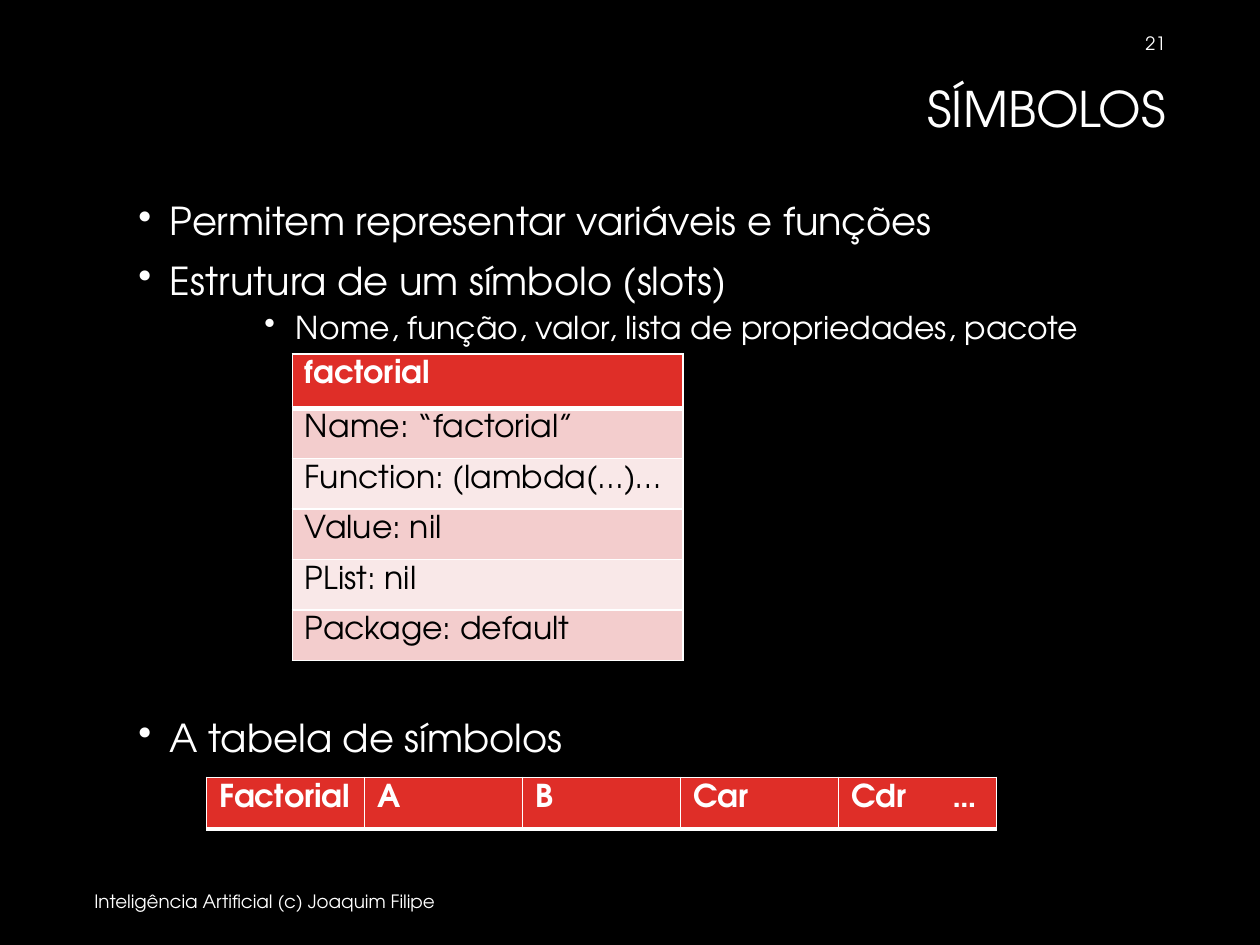
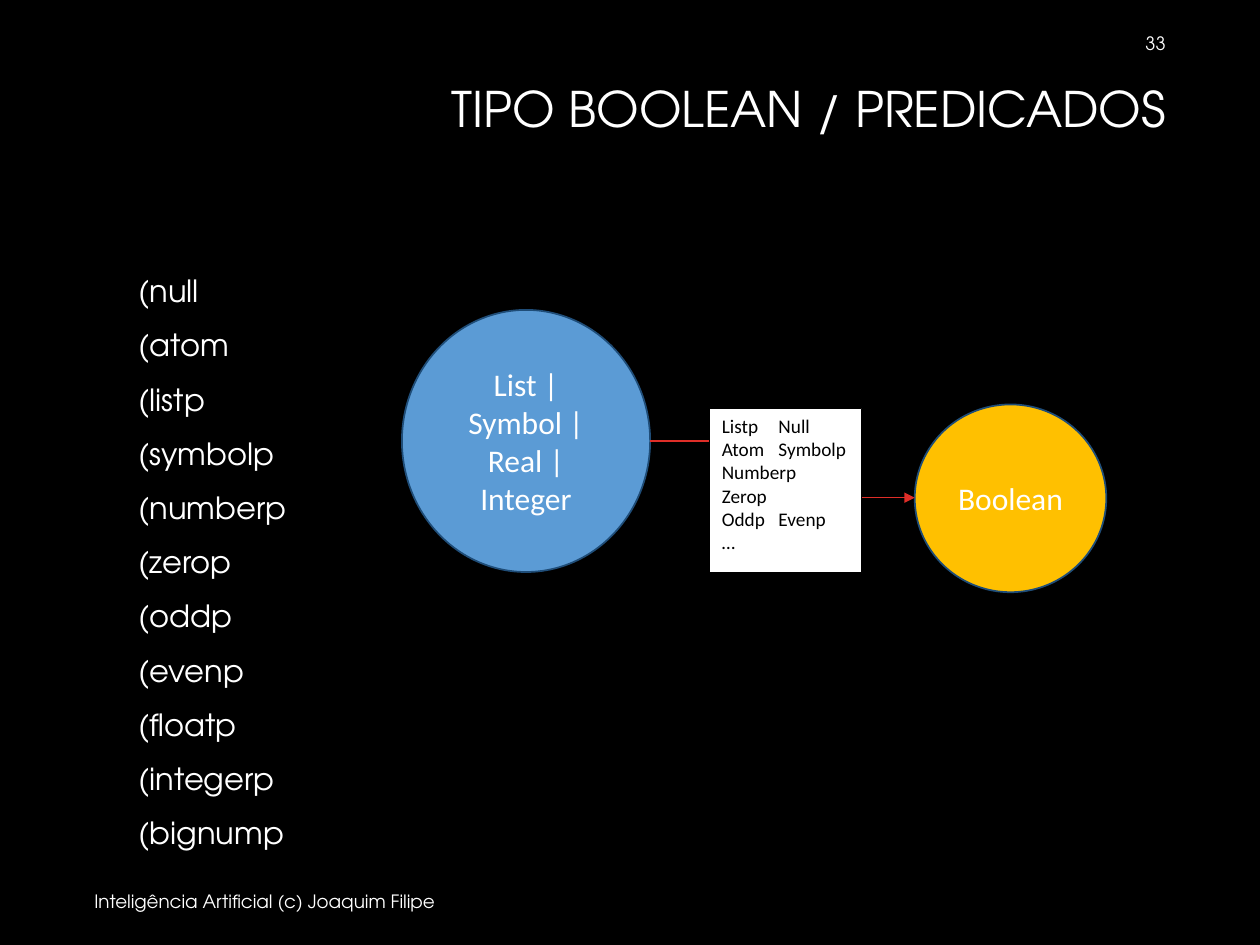
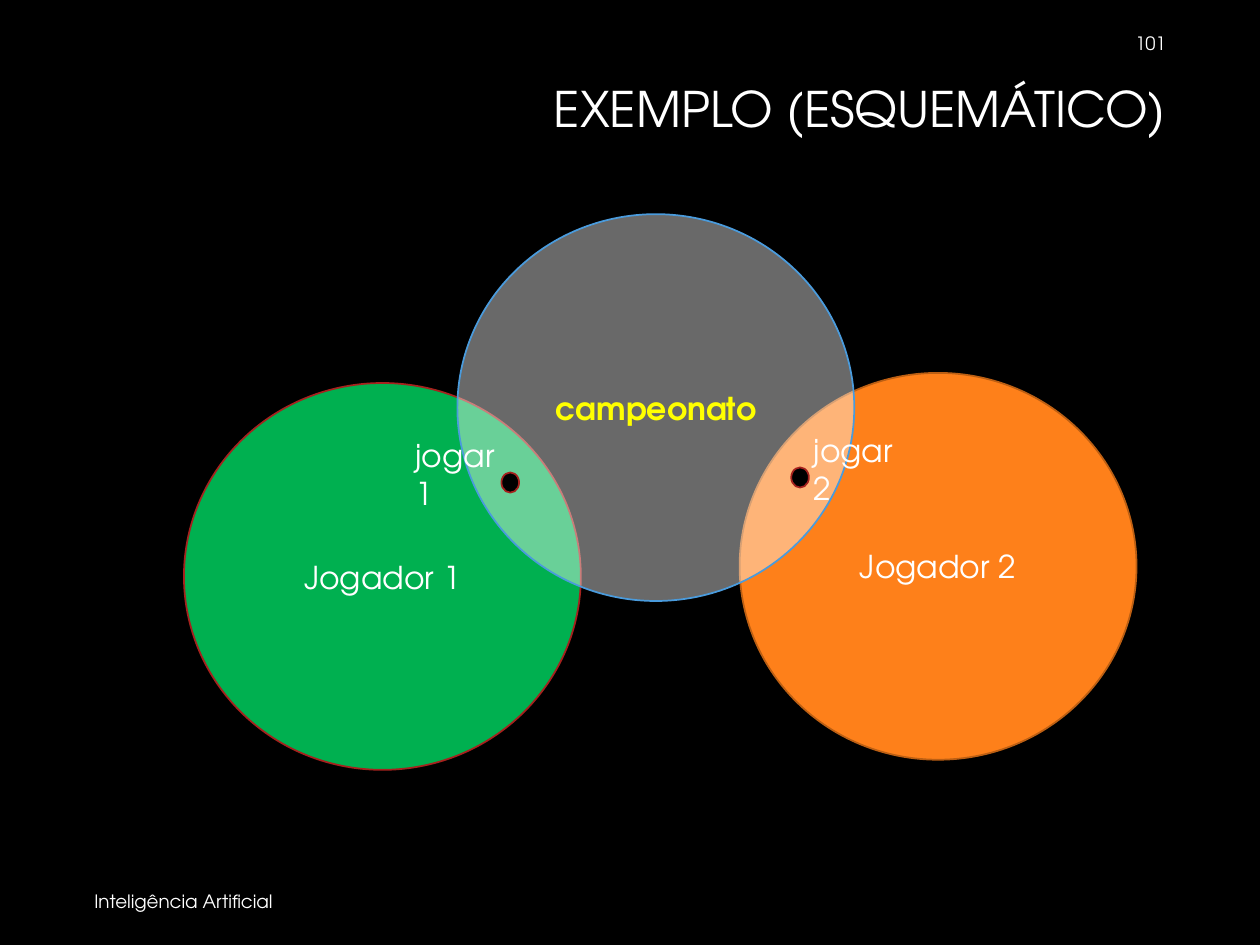
from pptx import Presentation
from pptx.dml.color import RGBColor
from pptx.enum.shapes import MSO_CONNECTOR, MSO_SHAPE
from pptx.enum.text import MSO_ANCHOR, PP_ALIGN
from pptx.oxml.ns import qn
from pptx.util import Inches, Pt
from lxml.etree import SubElement

# Shared look
SANS, PLAIN = "TeX Gyre Adventor", "Calibri"
BLACK, WHITE, RED, WINE = "000000", "FFFFFF", "DF2E28", "A5221E"
BLUE, NAVY, GOLD = "5B9BD5", "1F4D78", "FFC000"
PINK, PALE = "F3CDCD", "F9E8E8"
CREDIT = "Inteligência Artificial (c) Joaquim Filipe"
MIDDLE, TOP = MSO_ANCHOR.MIDDLE, MSO_ANCHOR.TOP
RIGHT, CENTER = PP_ALIGN.RIGHT, PP_ALIGN.CENTER
TITLE = (1.85, 0.63, 7.5, 1)
FOOTER = (0.65, 6.95, 6.21, 0.4)
NUMBER = (7.19, 0.14, 2.16, 0.4)


def style(part, values):
    for name, value in values.items():
        setattr(part, name, value)


def tint(color, value):
    color.rgb = RGBColor.from_string(value)


def paint(fill, value):
    fill.solid()
    tint(fill.fore_color, value)


def inch(*values):
    return [Inches(v) for v in values]


def write(frame, lines, size=18, color=WHITE, font=SANS, bold=False,
          anchor=TOP, tab=None, **layout):
    """Fill a frame with one paragraph per line."""
    style(frame, {"word_wrap": True, "vertical_anchor": anchor})
    for i, line in enumerate(lines):
        para = frame.add_paragraph() if i else frame.paragraphs[0]
        style(para, layout)
        run = para.add_run()
        run.text = line
        style(run.font, {"size": Pt(size), "name": font, "bold": bold})
        tint(run.font.color, color)
        if tab and "\t" in line:
            tabs = SubElement(para._p.get_or_add_pPr(), qn("a:tabLst"))
            SubElement(tabs, qn("a:tab"), pos=str(Inches(tab)), algn="l")


def label(slide, box, lines, **look):
    frame = slide.shapes.add_textbox(*inch(*box)).text_frame
    write(frame, lines, **look)
    return frame


def bullet(para, left):
    props = para._p.get_or_add_pPr()
    props.set("marL", str(Inches(left)))
    props.set("indent", str(Inches(-0.25)))
    SubElement(props, qn("a:buChar"), char="•")


def solid(slide, kind, box, fill, edge, width=1, lines=(), **look):
    """Draw a filled shape with an outline and optional text."""
    shape = slide.shapes.add_shape(kind, *inch(*box))
    shape.shadow.inherit = False
    paint(shape.fill, fill)
    tint(shape.line.color, edge)
    shape.line.width = Pt(width)
    write(shape.text_frame, lines, **look)
    return shape


def disc(slide, box, fill, edge, *lines, **look):
    return solid(slide, MSO_SHAPE.OVAL, box, fill, edge, lines=lines,
                 anchor=MIDDLE, alignment=CENTER, **look)


def border(cell, top=1, bottom=1):
    props = cell._tc.get_or_add_tcPr()
    for side, width in zip("LRTB", (1, 1, top, bottom)):
        line = SubElement(props, qn(f"a:ln{side}"), w=str(Pt(width)))
        fill = SubElement(line, qn("a:solidFill"))
        SubElement(fill, qn("a:srgbClr"), val=WHITE)


def grid(slide, box, rows, first, tab=None):
    """Draw a table with a red head row and banded body rows."""
    x, y, w, h = box
    cols = len(rows[0])
    table = slide.shapes.add_table(len(rows), cols, *inch(x, y, w, h)).table
    style(table, {"first_row": False, "horz_banding": False})
    for col in table.columns:
        col.width = Inches(w / cols)
    for r, texts in enumerate(rows):
        head = r == 0
        table.rows[r].height = Inches(
            first if head else (h - first) / (len(rows) - 1))
        for c, text in enumerate(texts):
            cell = table.cell(r, c)
            border(cell, top=3 if r == 1 else 1, bottom=3 if head else 1)
            paint(cell.fill, RED if head else PINK if r % 2 else PALE)
            write(cell.text_frame, [text], bold=head, tab=tab,
                  color=WHITE if head else BLACK)


def page(deck, title, number, credit=CREDIT):
    """Add a black slide with title, footer and number."""
    slide = deck.slides.add_slide(deck.slide_layouts[6])
    paint(slide.background.fill, BLACK)
    label(slide, TITLE, [title], size=28, alignment=RIGHT, line_spacing=0.9)
    label(slide, FOOTER, [credit], size=10.5, anchor=MIDDLE)
    label(slide, NUMBER, [number], size=10.5, anchor=MIDDLE, alignment=RIGHT)
    return slide


def symbols(slide, box):
    """Bullets around the slot table and the symbol table."""
    x, y, w, h = box
    look = {"size": 22, "line_spacing": 0.9, "space_before": Pt(10)}
    frame = label(slide, (x, y, w, 1.25), [
        "Permitem representar variáveis e funções",
        "Estrutura de um símbolo (slots)",
        "Nome, função, valor, lista de propriedades, pacote"], **look)
    for para, left in zip(frame.paragraphs, (0.25, 0.25, 1.25)):
        bullet(para, left)
    style(para, {"space_before": Pt(5), "level": 2})
    style(para.runs[0].font, {"size": Pt(18)})

    slots = ["factorial", "Name: “factorial”", "Function: (lambda(...)…",
             "Value: nil", "PList: nil", "Package: default"]
    grid(slide, (x + 1.32, y + 1.25, 3.1, 2.43), [[s] for s in slots], 0.43)

    last = label(slide, (x, y + 4.1, w, 0.45), ["A tabela de símbolos"],
                 **look)
    bullet(last.paragraphs[0], 0.25)
    grid(slide, (x + 0.64, y + 4.61, 6.27, 0.41),
         [["Factorial", "A", "B", "Car", "Cdr\t…"]], 0.41, tab=0.8)


def calls(slide, box):
    """List of predicate calls."""
    names = ("null atom listp symbolp numberp zerop oddp evenp floatp "
             "integerp bignump")
    label(slide, box, ["(" + n for n in names.split()], size=17.5,
          space_before=Pt(10))


def flow(slide, box):
    """Types mapped to Boolean through the predicates."""
    x, y, w, h = box
    disc(slide, (x, y, 1.97, 2.08), BLUE, NAVY,
         "List | Symbol | Real | Integer", font=PLAIN)
    disc(slide, (x + 4.07, y + 0.75, 1.52, 1.49), GOLD, NAVY, "Boolean",
         font=PLAIN)

    # Arrow passing behind the predicate box
    arrow = slide.shapes.add_connector(
        MSO_CONNECTOR.ELBOW, *inch(x + 1.97, y + 1.04, x + 4.07, y + 1.49))
    tint(arrow.line.color, RED)
    arrow.line.width = Pt(0.75)
    SubElement(arrow.line._get_or_add_ln(), qn("a:tailEnd"), type="triangle")
    SubElement(arrow._element.spPr, qn("a:effectLst"))

    solid(slide, MSO_SHAPE.RECTANGLE, (x + 2.44, y + 0.78, 1.21, 1.3),
          WHITE, BLACK, 0.5,
          ["Listp\tNull", "Atom\tSymbolp", "Numberp", "Zerop",
           "Oddp\tEvenp", "…"],
          size=11, color=BLACK, font=PLAIN, tab=0.45,
          alignment=PP_ALIGN.LEFT)


def venn(slide, box):
    """Two players overlapping the championship."""
    x, y, w, h = box
    size = (3.15, 3.07)
    disc(slide, (x, y + 1.34, *size), "00B050", WINE, "Jogador 1")
    disc(slide, (x + 4.41, y + 1.26, *size), "FE801A", "BC5F13", "Jogador 2")
    cup = disc(slide, (x + 2.17, y, *size), WHITE, "4A9BDC", "campeonato",
               color="FFFF00", bold=True)
    shade = cup._element.spPr.find(qn("a:solidFill"))[0]
    SubElement(shade, qn("a:alpha"), val="41000")

    # Shared moves
    for dx, dy in ((2.52, 2.05), (4.82, 2.01)):
        disc(slide, (x + dx, y + dy, 0.14, 0.16), BLACK, WINE)
    for text, dx, dy in (("jogar1", 1.74, 1.71), ("jogar2", 4.9, 1.67)):
        label(slide, (x + dx, y + dy, 0.85, 0.4), [text])


def main():
    deck = Presentation()
    style(deck, {"slide_width": Inches(10), "slide_height": Inches(7.5)})
    symbols(page(deck, "SÍMBOLOS", "21"), (1, 1.56, 8.5, 5.39))
    types = page(deck, "TIPO BOOLEAN / PREDICADOS", "33")
    calls(types, (1, 2.11, 8.5, 4.84))
    flow(types, (3.19, 2.46, 5.59, 2.24))
    venn(page(deck, "EXEMPLO (ESQUEMÁTICO)", "101", "Inteligência Artificial"),
         (1.46, 1.7, 7.56, 4.41))
    deck.save("out.pptx")


if __name__ == "__main__":
    main()
